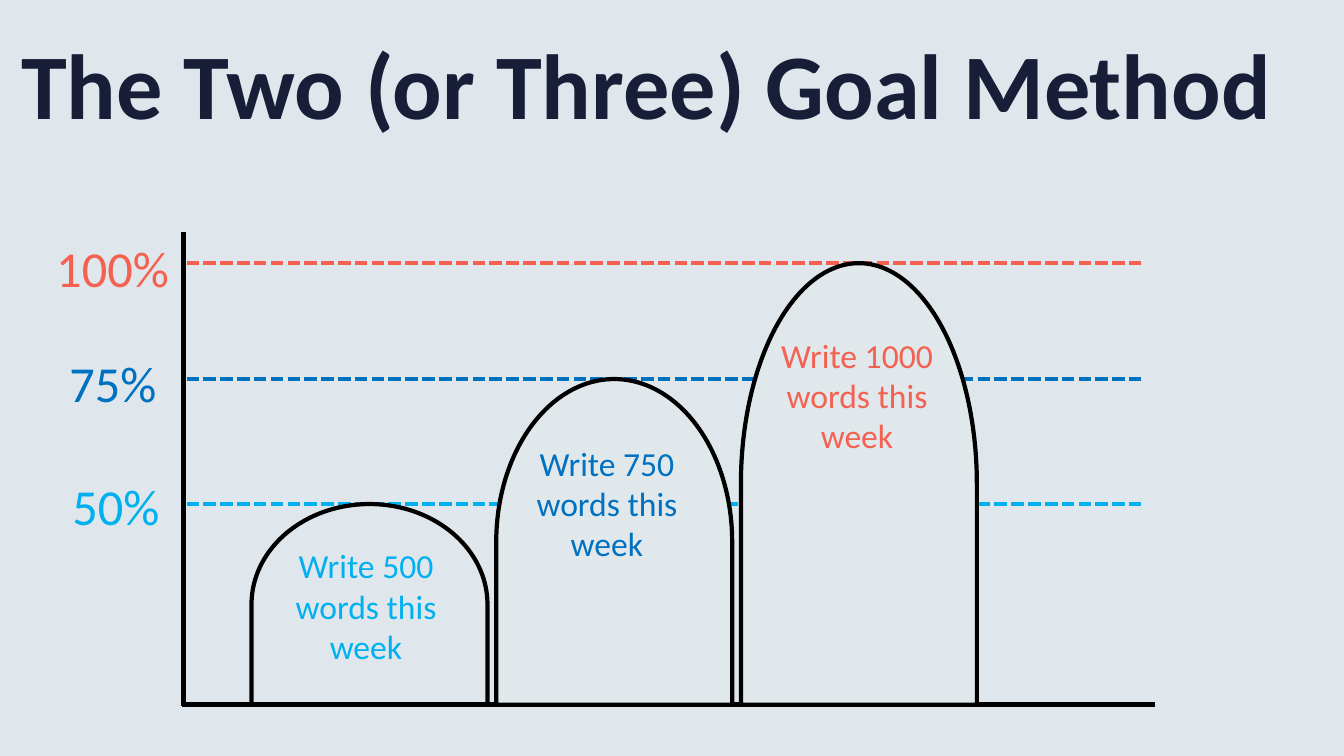
from lxml.etree import SubElement
from pptx import Presentation
from pptx.dml.color import RGBColor
from pptx.enum.dml import MSO_LINE
from pptx.enum.shapes import MSO_CONNECTOR, MSO_SHAPE
from pptx.enum.text import MSO_ANCHOR, MSO_AUTO_SIZE, PP_ALIGN
from pptx.oxml.ns import qn
from pptx.util import Inches, Pt

COLORS = {k: RGBColor.from_string(v) for k, v in {
    "bg": "E0E7EC", "title": "191E38", "axis": "000000", "arch": "E0E8EC",
    "low": "00B0F0", "mid": "0070C0", "high": "F46151"}.items()}
CELL = Inches(0.1)  # the slide is a grid of 133.3 columns by 75 rows


def grid(*cells):
    return [round(c * CELL) for c in cells]


def put_text(sp, text, size, color, bold=False, align=PP_ALIGN.LEFT):
    tf = sp.text_frame
    tf.word_wrap = True
    tf.auto_size = MSO_AUTO_SIZE.SHAPE_TO_FIT_TEXT
    tf.vertical_anchor = MSO_ANCHOR.TOP
    p = tf.paragraphs[0]
    p.alignment = align
    r = p.add_run()
    r.text = text
    r.font.name = "Calibri"
    r.font.size = Pt(size)
    r.font.bold = bold
    r.font.color.rgb = COLORS[color]


prs = Presentation()
prs.slide_width, prs.slide_height = grid(133.3, 75)
s = prs.slides.add_slide(prs.slide_layouts[5])
s.background.fill.solid()
s.background.fill.fore_color.rgb = COLORS["bg"]

# Title
sp = s.shapes.title
sp.left, sp.top, sp.width, sp.height = grid(1.1, 2.2, 130.5, 12.1)
put_text(sp, "The Two (or Three) Goal Method", 66, "title", bold=True)

# Goals: color, level row, percent, label box (column, row, width), words, note (column, row)
base = 69.9
goals = [
    ("low", 50, "50%", (6.2, 46.6, 12.2), 500, (24.7, 53.6)),
    ("mid", 37.6, "75%", (5.9, 34.4, 12.2), 750, (48.6, 43.4)),
    ("high", 26.1, "100%", (4.6, 23, 13.6), 1000, (73.4, 32.7)),
]

# Dashed goal levels, then the two axes
lines = [(18.5, level, 113.2, level, color) for color, level, *_ in reversed(goals)]
lines += [(18.2, 23, 18.2, 70, "axis"), (18.1, base, 114.6, base, "axis")]
for *ends, color in lines:
    c = s.shapes.add_connector(MSO_CONNECTOR.STRAIGHT, *grid(*ends))
    c.line.color.rgb = COLORS[color]
    c.line.width = Pt(3)
    if color != "axis":
        c.line.dash_style = MSO_LINE.SQUARE_DOT
    SubElement(c._element.spPr, qn("a:effectLst"))

# Arches: delay shapes turned upright, from the base to each level
first_center, pitch, arch_width = 36.65, 24.27, 23.4
for i, (color, level, *_) in enumerate(goals):
    length = base - level
    center_x, center_y = first_center + i * pitch, (base + level) / 2
    sp = s.shapes.add_shape(MSO_SHAPE.FLOWCHART_DELAY, *grid(
        center_x - length / 2, center_y - arch_width / 2, length, arch_width))
    sp.rotation = 270
    sp.shadow.inherit = False
    sp.line.color.rgb = COLORS["axis"]
    sp.line.width = Pt(3)
    if color == "low":
        sp.fill.background()
    else:
        sp.fill.solid()
        sp.fill.fore_color.rgb = COLORS["arch"]

# Percent labels and notes
for color, level, percent, (x, y, w), words, note in goals:
    put_text(s.shapes.add_textbox(*grid(x, y, w, 7.1)), percent, 36, color)
    put_text(s.shapes.add_textbox(*grid(*note, 23.2, 13.1)),
             f"Write {words} words this week", 24, color, align=PP_ALIGN.CENTER)

prs.save("out.pptx")
